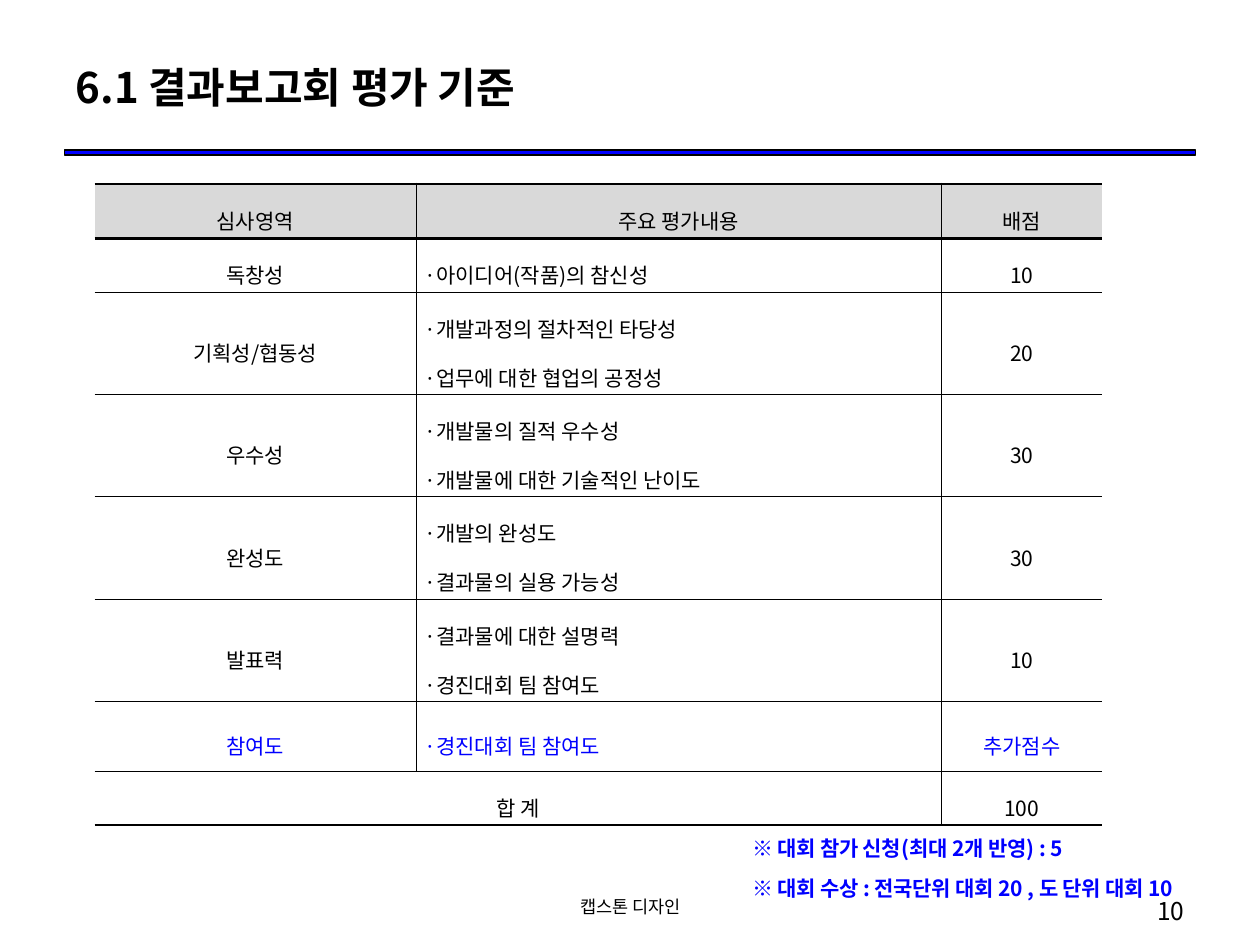
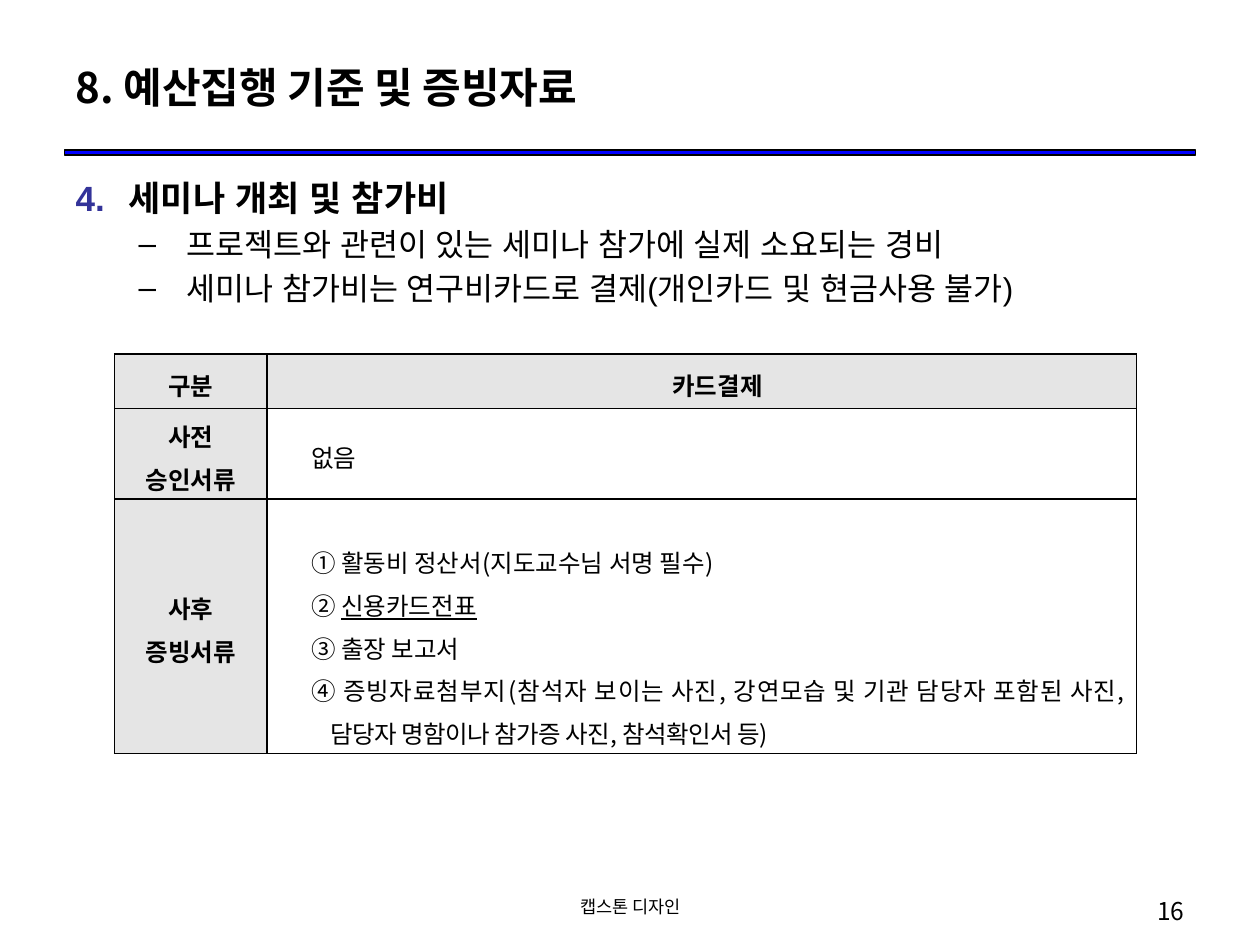
from dataclasses import dataclass
from typing import NamedTuple

import pptx
import pptx.dml.color
import pptx.enum.shapes
import pptx.enum.text
import pptx.oxml
import pptx.oxml.ns
import pptx.presentation
import pptx.shapes.autoshape
import pptx.slide
import pptx.table
import pptx.text.text
import pptx.util

PX = 9144
BLACK = pptx.dml.color.RGBColor(0x00, 0x00, 0x00)
WHITE = pptx.dml.color.RGBColor(0xFF, 0xFF, 0xFF)
BLUE = pptx.dml.color.RGBColor(0x00, 0x00, 0xFF)
NUMBER_BLUE = pptx.dml.color.RGBColor(0x33, 0x33, 0x99)
CRITERIA_GRAY = pptx.dml.color.RGBColor(0xD9, 0xD9, 0xD9)
EVIDENCE_GRAY = pptx.dml.color.RGBColor(0xE5, 0xE5, 0xE5)
KOREAN_FONT = "Noto Sans CJK KR"
BODY_FONT = "Arial"
FOOTER = "캡스톤 디자인"

ALIGN = pptx.enum.text.PP_ALIGN
MIDDLE = pptx.enum.text.MSO_ANCHOR.MIDDLE
AUTO_SIZE = pptx.enum.text.MSO_AUTO_SIZE


class Box(NamedTuple):
    left: int
    top: int
    width: int
    height: int

    def emu(self) -> list[int]:
        return [length * PX for length in self]


class Indent(NamedTuple):
    margin: int
    first: int


@dataclass(frozen=True)
class TextStyle:
    size: int
    color: pptx.dml.color.RGBColor = BLACK
    bold: bool = False
    font: str = KOREAN_FONT
    align: ALIGN = ALIGN.LEFT
    line_spacing: float | None = None
    indent: Indent | None = None
    tracking: int = 0


@dataclass(frozen=True)
class TableDesign:
    left: int
    top: int
    columns: tuple[int, ...]
    rows: tuple[int, ...]
    row_edges: tuple[float, ...]
    column_edges: tuple[float, ...]
    side_margin: int
    size: int
    line_spacing: float
    header_fill: pptx.dml.color.RGBColor
    header_column: bool = False
    bold_headers: bool = False
    content_indent: Indent | None = None
    accent_row: int | None = None

    def box(self) -> Box:
        return Box(self.left, self.top, sum(self.columns), sum(self.rows))


TITLE_BOX = Box(50, 30, 900, 77)
RULE_BOX = Box(51, 119, 898, 4)
BODY_BOX = Box(50, 135, 900, 571)
FOOTER_BOX = Box(342, 706, 317, 29)
NUMBER_BOX = Box(717, 706, 233, 29)
NOTE_BOX = Box(587, 647, 438, 74)

TITLE_STYLE = TextStyle(24, bold=True)
FOOTER_STYLE = TextStyle(10, align=ALIGN.CENTER)
NUMBER_STYLE = TextStyle(14, align=ALIGN.RIGHT)
NOTE_STYLE = TextStyle(12, BLUE, True, align=ALIGN.JUSTIFY, line_spacing=1.6,
                       indent=Indent(51, -51), tracking=-10)
HEADING_STYLE = TextStyle(20, bold=True, font=BODY_FONT, indent=Indent(42, -42))
POINT_STYLE = TextStyle(18, font=BODY_FONT, indent=Indent(88, -38))

CRITERIA_DESIGN = TableDesign(
    left=75, top=146, columns=(255, 417, 128),
    rows=(43, 43, 81, 81, 82, 81, 55, 43),
    row_edges=(1.7, 1.98, *[0.28] * 6, 1.7), column_edges=(0, 0.28, 0.28, 0),
    side_margin=7, size=12, line_spacing=1.6, header_fill=CRITERIA_GRAY, accent_row=6)
CRITERIA = (
    ("심사영역", "주요 평가내용", "배점"),
    ("독창성", "·아이디어(작품)의 참신성", "10"),
    ("기획성/협동성", "·개발과정의 절차적인 타당성\n·업무에 대한 협업의 공정성", "20"),
    ("우수성", "·개발물의 질적 우수성\n·개발물에 대한 기술적인 난이도", "30"),
    ("완성도", "·개발의 완성도\n·결과물의 실용 가능성", "30"),
    ("발표력", "·결과물에 대한 설명력\n·경진대회 팀 참여도", "10"),
    ("참여도", "·경진대회 팀 참여도", "추가점수"),
    ("합 계", "", "100"),
)
NOTES = "※ 대회 참가 신청(최대 2개 반영) : 5\n※ 대회 수상 : 전국단위 대회 20 , 도 단위 대회 10"

EVIDENCE_DESIGN = TableDesign(
    left=91, top=281, columns=(121, 690), rows=(43, 72, 202),
    row_edges=(0.85,) * 4, column_edges=(0.85,) * 3,
    side_margin=10, size=14, line_spacing=1.2, header_fill=EVIDENCE_GRAY,
    header_column=True, bold_headers=True, content_indent=Indent(40, -15))
EVIDENCE = (
    ("구분", "카드결제"),
    ("사전 승인서류", "없음"),
    ("사후 증빙서류",
     "① 활동비 정산서(지도교수님 서명 필수)\n② \n③ 출장 보고서\n"
     "④ 증빙자료첨부지(참석자 보이는 사진, 강연모습 및 기관 담당자 포함된 사진, "
     "담당자 명함이나 참가증 사진, 참석확인서 등)"),
)
SEMINAR = ("세미나 개최 및 참가비\n프로젝트와 관련이 있는 세미나 참가에 실제 소요되는 경비\n"
           "세미나 참가비는 연구비카드로 결제(개인카드 및 현금사용 불가)")


def add_xml(parent, markup: str, index: int | None = None) -> None:
    tag, _, rest = markup.partition(" ")
    element = pptx.oxml.parse_xml(f"<{tag} {pptx.oxml.ns.nsdecls('a')} {rest}")
    parent.insert(len(parent) if index is None else index, element)


def format_run(run: pptx.text.text._Run, style: TextStyle) -> None:
    run.font.size = pptx.util.Pt(style.size)
    run.font.bold = style.bold
    run.font.name = style.font
    run.font.color.rgb = style.color
    properties = run._r.get_or_add_rPr()
    properties.set("kern", "0")
    add_xml(properties, f'a:ea typeface="{style.font}"/>')
    if style.tracking:
        properties.set("spc", str(style.tracking))


def format_paragraph(paragraph: pptx.text.text._Paragraph, style: TextStyle) -> None:
    paragraph.alignment = style.align
    if style.line_spacing:
        paragraph.line_spacing = style.line_spacing
    if style.indent:
        properties = paragraph._p.get_or_add_pPr()
        properties.set("marL", str(style.indent.margin * PX))
        properties.set("indent", str(style.indent.first * PX))
    for run in paragraph.runs:
        format_run(run, style)


def write_text(frame: pptx.text.text.TextFrame, text: str, style: TextStyle) -> None:
    frame.text = text
    for paragraph in frame.paragraphs:
        format_paragraph(paragraph, style)


def place(shape: pptx.shapes.autoshape.Shape, box: Box) -> None:
    shape.left, shape.top, shape.width, shape.height = box.emu()


def add_text(slide: pptx.slide.Slide, box: Box, text: str,
             style: TextStyle) -> pptx.text.text.TextFrame:
    frame = slide.shapes.add_textbox(*box.emu()).text_frame
    frame.word_wrap = True
    write_text(frame, text, style)
    return frame


def add_slide(presentation: pptx.presentation.Presentation, layout: int,
              title: str, number: int) -> pptx.slide.Slide:
    slide = presentation.slides.add_slide(presentation.slide_layouts[layout])
    slide.background.fill.solid()
    slide.background.fill.fore_color.rgb = WHITE
    rule = slide.shapes.add_shape(pptx.enum.shapes.MSO_SHAPE.RECTANGLE, *RULE_BOX.emu())
    rule.shadow.inherit = False
    rule.fill.solid()
    rule.fill.fore_color.rgb = BLUE
    rule.line.color.rgb = BLACK
    rule.line.width = pptx.util.Pt(0.75)
    place(slide.shapes.title, TITLE_BOX)
    frame = slide.shapes.title.text_frame
    write_text(frame, title, TITLE_STYLE)
    frame.vertical_anchor = MIDDLE
    frame.auto_size = AUTO_SIZE.NONE
    add_text(slide, FOOTER_BOX, FOOTER, FOOTER_STYLE)
    add_text(slide, NUMBER_BOX, str(number), NUMBER_STYLE)
    return slide


def set_borders(cell: pptx.table._Cell, left: float, right: float,
                top: float, bottom: float) -> None:
    properties = cell._tc.get_or_add_tcPr()
    sides = {"lnL": left, "lnR": right, "lnT": top, "lnB": bottom}
    for index, (side, width) in enumerate(sides.items()):
        paint = f'<a:solidFill><a:srgbClr val="{BLACK}"/></a:solidFill>' if width else "<a:noFill/>"
        add_xml(properties, f'a:{side} w="{pptx.util.Pt(width)}">{paint}</a:{side}>', index)


def fill_cell(cell: pptx.table._Cell, text: str, row: int, column: int,
              design: TableDesign) -> None:
    header = row == 0 or (design.header_column and column == 0)
    cell.vertical_anchor = MIDDLE
    cell.margin_left = cell.margin_right = design.side_margin * PX
    cell.margin_top = cell.margin_bottom = 2 * PX
    write_text(cell.text_frame, text, TextStyle(
        design.size,
        color=BLUE if row == design.accent_row else BLACK,
        bold=header and design.bold_headers,
        align=ALIGN.JUSTIFY if column == 1 and row else ALIGN.CENTER,
        line_spacing=design.line_spacing,
        indent=design.content_indent if column == 1 else None))
    if header:
        cell.fill.solid()
        cell.fill.fore_color.rgb = design.header_fill
    else:
        cell.fill.background()
    set_borders(cell, *design.column_edges[column:column + 2], *design.row_edges[row:row + 2])


def add_table(slide: pptx.slide.Slide, design: TableDesign,
              content: tuple[tuple[str, ...], ...]) -> pptx.table.Table:
    table = slide.shapes.add_table(
        len(design.rows), len(design.columns), *design.box().emu()).table
    table.first_row = table.horz_banding = False
    for column, width in zip(table.columns, design.columns):
        column.width = width * PX
    for row, height in zip(table.rows, design.rows):
        row.height = height * PX
    for row, texts in enumerate(content):
        for column, text in enumerate(texts):
            fill_cell(table.cell(row, column), text, row, column, design)
    return table


def build_criteria(presentation: pptx.presentation.Presentation) -> None:
    slide = add_slide(presentation, 5, "6.1 결과보고회 평가 기준", 10)
    table = add_table(slide, CRITERIA_DESIGN, CRITERIA)
    total = len(CRITERIA) - 1
    table.cell(total, 0).merge(table.cell(total, 1))
    notes = add_text(slide, NOTE_BOX, NOTES, NOTE_STYLE)
    notes.margin_top = 4 * PX
    notes.auto_size = AUTO_SIZE.SHAPE_TO_FIT_TEXT


def build_evidence(presentation: pptx.presentation.Presentation) -> None:
    slide = add_slide(presentation, 1, "8. 예산집행 기준 및 증빙자료", 16)
    body = slide.placeholders[1]
    place(body, BODY_BOX)
    body.text_frame.text = SEMINAR
    body.text_frame.auto_size = AUTO_SIZE.NONE
    heading, *points = body.text_frame.paragraphs
    format_paragraph(heading, HEADING_STYLE)
    numbering = heading._p.get_or_add_pPr()
    add_xml(numbering, f'a:buClr ><a:srgbClr val="{NUMBER_BLUE}"/></a:buClr>')
    add_xml(numbering, f'a:buFont typeface="{KOREAN_FONT}"/>')
    add_xml(numbering, 'a:buAutoNum type="arabicPeriod" startAt="4"/>')
    for point in points:
        point.level = 1
        format_paragraph(point, POINT_STYLE)

    table = add_table(slide, EVIDENCE_DESIGN, EVIDENCE)
    documents = table.cell(2, 1)
    documents.margin_top = 30 * PX
    paragraphs = documents.text_frame.paragraphs
    receipt = paragraphs[1].add_run()
    receipt.text = "신용카드전표"
    format_run(receipt, TextStyle(EVIDENCE_DESIGN.size))
    receipt.font.underline = True
    paragraphs[3].runs[0]._r.get_or_add_rPr().set("spc", "-30")


def main() -> None:
    presentation = pptx.Presentation()
    presentation.slide_width = 1000 * PX
    presentation.slide_height = 750 * PX
    build_criteria(presentation)
    build_evidence(presentation)
    presentation.save("out.pptx")


if __name__ == "__main__":
    main()
